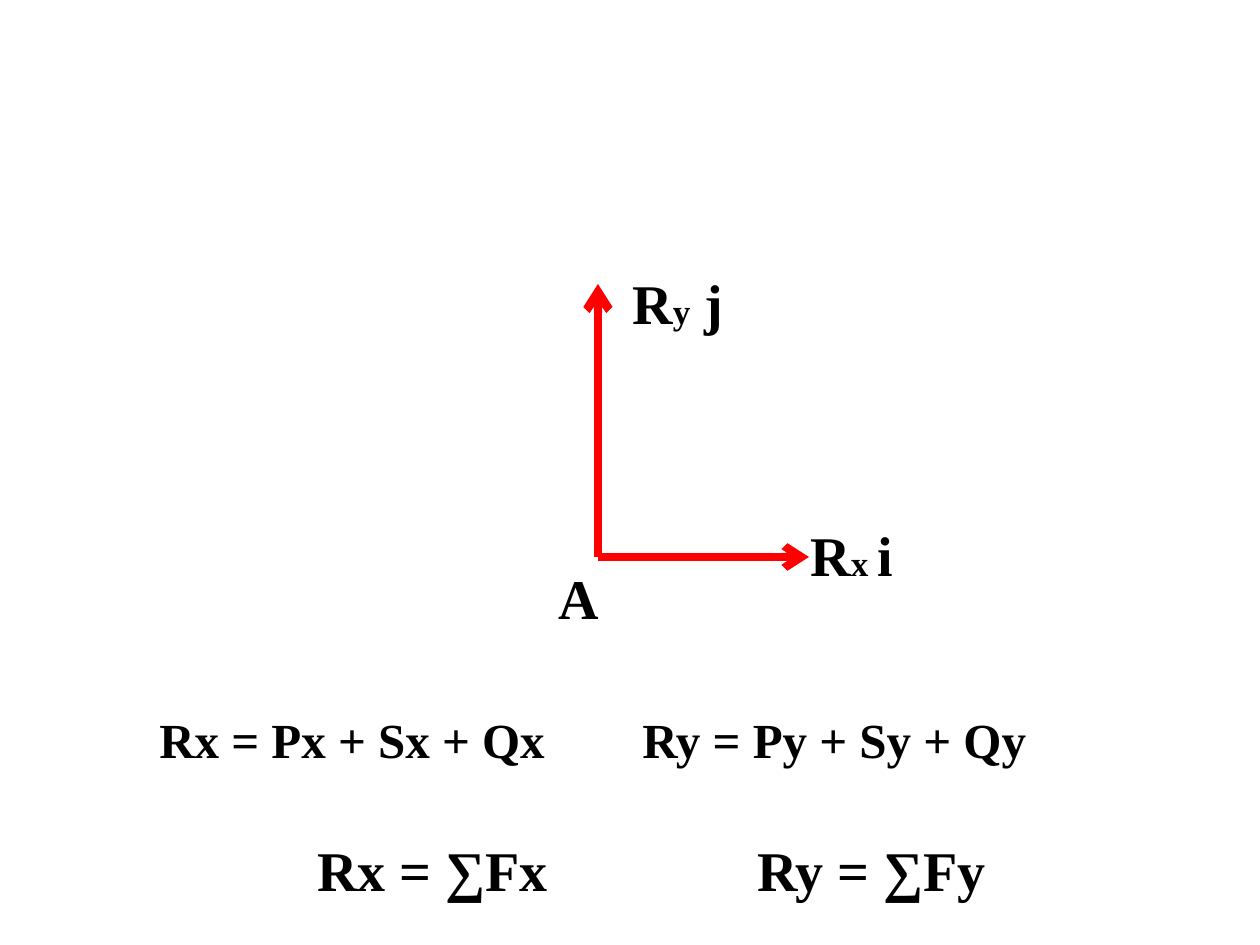
from dataclasses import dataclass

from lxml import etree
from pptx import Presentation
from pptx.dml.color import RGBColor
from pptx.enum.shapes import MSO_CONNECTOR
from pptx.enum.text import MSO_ANCHOR, MSO_AUTO_SIZE
from pptx.oxml.ns import qn
from pptx.util import Emu, Pt

STRAIGHT = MSO_CONNECTOR.STRAIGHT
TOP, MIDDLE = MSO_ANCHOR.TOP, MSO_ANCHOR.MIDDLE
GROW = MSO_AUTO_SIZE.SHAPE_TO_FIT_TEXT
PX_PER_INCH = 126


@dataclass(frozen=True)
class Theme:
    font: str = "Times New Roman"
    ink: RGBColor = RGBColor(0, 0, 0)
    force: RGBColor = RGBColor(255, 0, 0)
    large: int = 32
    medium: int = 28
    subscript: int = 20


THEME = Theme()


def px(length):
    return Emu(round(length * 914400 / PX_PER_INCH))


def add_text(slide, box, parts, anchor=TOP, tab=None):
    label = slide.shapes.add_textbox(*map(px, box))
    frame = label.text_frame
    frame.word_wrap = True
    frame.auto_size = GROW
    frame.vertical_anchor = anchor
    paragraph = frame.paragraphs[0]
    if tab:
        stops = etree.SubElement(paragraph._p.get_or_add_pPr(), qn("a:tabLst"))
        etree.SubElement(stops, qn("a:tab"), pos=str(px(tab)), algn="l")
    for text, size in parts:
        run = paragraph.add_run()
        run.text = text
        run.font.name = THEME.font
        run.font.size = Pt(size)
        run.font.bold = True
        run.font.color.rgb = THEME.ink


def add_force(slide, start, end, width):
    force = slide.shapes.add_connector(STRAIGHT, *map(px, (*start, *end)))
    force.line.color.rgb = THEME.force
    force.line.width = Pt(width)
    etree.SubElement(force.line._get_or_add_ln(), qn("a:tailEnd"), type="arrow")
    etree.SubElement(force._element.spPr, qn("a:effectLst"))


def add_force_diagram(slide, left, top):
    origin = (left + 52, top + 295)
    add_force(slide, origin, (left + 263, top + 295), 4.5)
    add_force(slide, origin, (left + 52, top + 22), 4.75)
    large, subscript = THEME.large, THEME.subscript
    labels = [
        (0, 295, 63, [("A", large)]),
        (74, 0, 158, [("R", large), ("y", subscript), (" j", large)]),
        (252, 252, 158, [("R", large), ("x ", subscript), ("i", large)]),
    ]
    for x, y, width, parts in labels:
        add_text(slide, (left + x, top + y, width, 81), parts)


def add_equations(slide, left, top):
    equations = [
        (0, 0, 1008, 72, "Rx = Px + Sx + Qx\tRy = Py + Sy + Qy", THEME.medium, 483),
        (158, 126, 714, 81, "Rx = ∑Fx\tRy = ∑Fy", THEME.large, 440),
    ]
    for x, y, width, height, text, size, tab in equations:
        box = (left + x, top + y, width, height)
        add_text(slide, box, [(text, size)], anchor=MIDDLE, tab=tab)


def main():
    deck = Presentation()
    deck.slide_width, deck.slide_height = px(1260), px(945)
    slide = deck.slides.add_slide(deck.slide_layouts[6])
    add_force_diagram(slide, 546, 262)
    add_equations(slide, 147, 703)
    deck.save("out.pptx")


if __name__ == "__main__":
    main()
